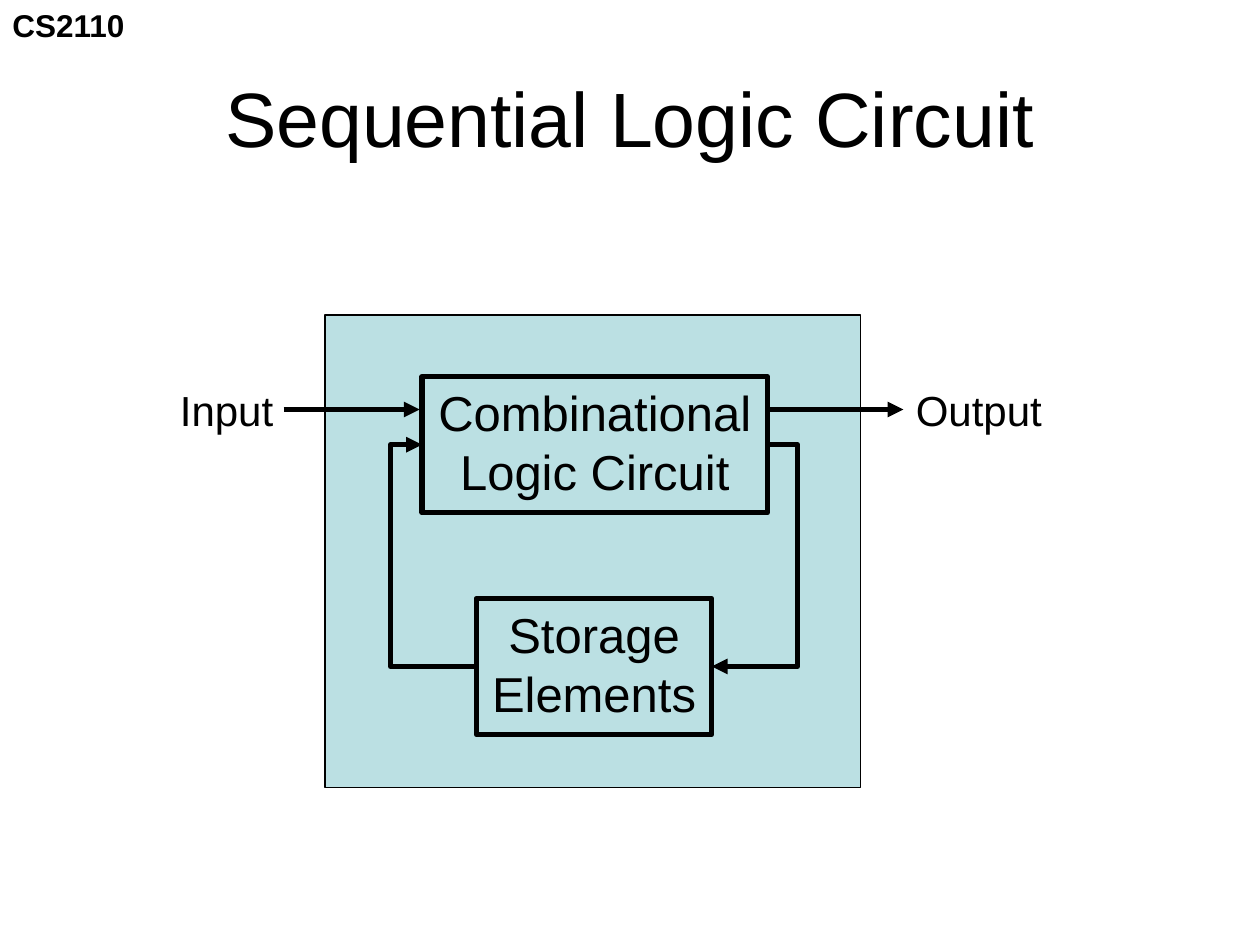
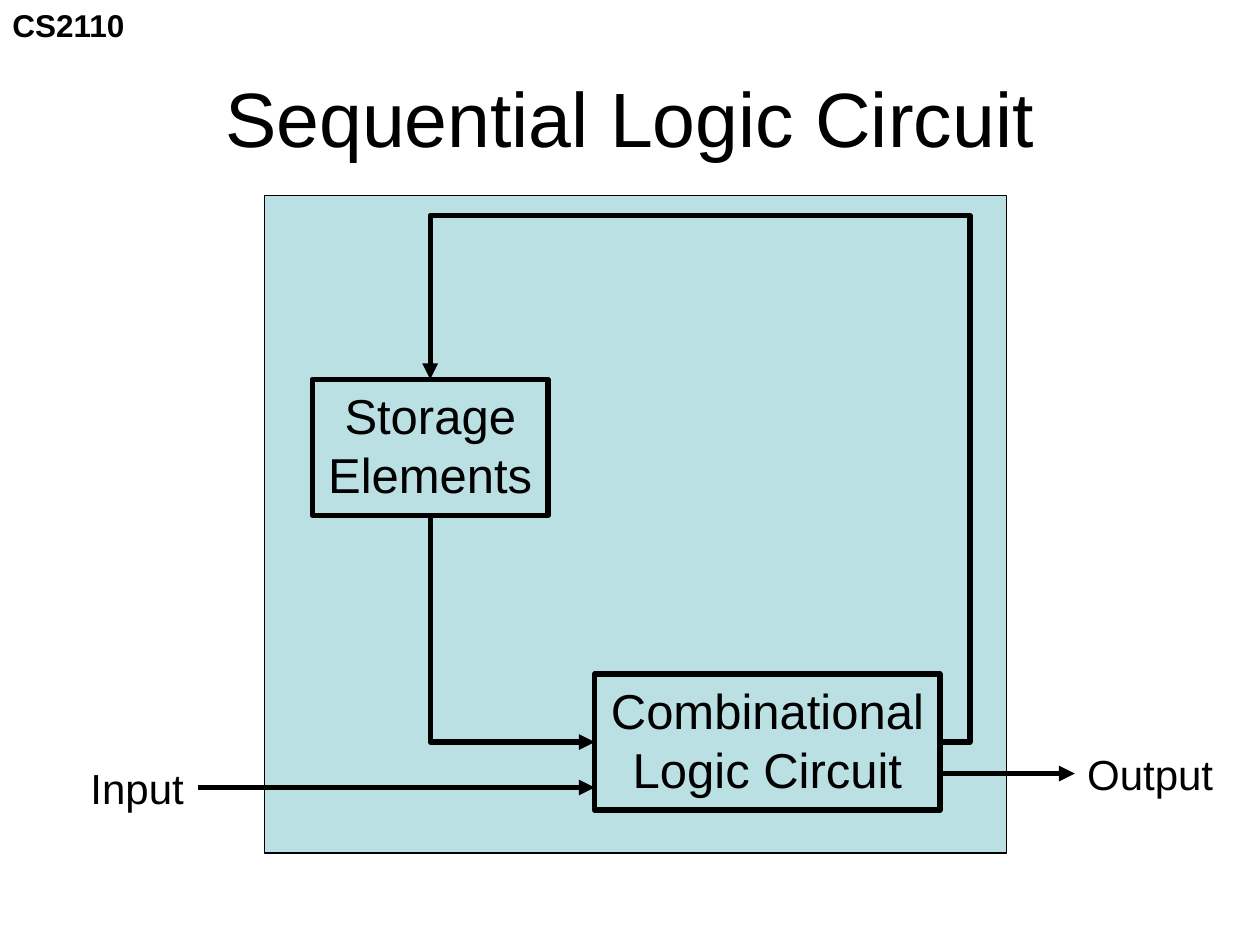
from dataclasses import dataclass

from lxml import etree
from pptx import Presentation
from pptx.dml.color import RGBColor
from pptx.enum import shapes, text
from pptx.oxml import ns
from pptx.util import Inches, Pt

BLACK = RGBColor(0x00, 0x00, 0x00)
PALE_TEAL = RGBColor(0xBB, 0xE0, 0xE3)
FONT = "Arial"
WIRE_WIDTH = 3
TOP, LEFT, BOTTOM, RIGHT = range(4)
COMBINATIONAL = "Combinational\nLogic Circuit"
STORAGE = "Storage\nElements"


@dataclass
class Frame:
    left: float
    top: float
    width: float
    height: float

    def lengths(self):
        return [Inches(n) for n in (self.left, self.top, self.width, self.height)]


@dataclass
class Feedback:
    begin: str
    begin_site: int
    end: str
    end_site: int
    preset: str
    bend_x: float | None = None
    bend_y: float | None = None
    arrow: str = "tailEnd"


@dataclass
class Arrow:
    start: float
    end: float
    y: float


@dataclass
class Circuit:
    panel: Frame
    blocks: dict[str, Frame]
    feedback: list[Feedback]
    arrows: list[Arrow]
    labels: dict[str, Frame]


def write(shape, content: str, size: int, align=text.PP_ALIGN.LEFT,
          bold: bool = False, wrap: bool = False) -> None:
    frame = shape.text_frame
    frame.text = content
    frame.word_wrap = wrap
    if not wrap:
        frame.auto_size = text.MSO_AUTO_SIZE.SHAPE_TO_FIT_TEXT
    for paragraph in frame.paragraphs:
        paragraph.alignment = align
        font = paragraph.font
        font.name, font.size, font.bold = FONT, Pt(size), bold
        font.color.rgb = BLACK


def add_text(slide, frame: Frame, content: str, size: int, **style):
    shape = slide.shapes.add_textbox(*frame.lengths())
    write(shape, content, size, **style)
    return shape


def add_box(slide, frame: Frame, line_width: float, fill: RGBColor | None = None):
    shape = slide.shapes.add_shape(shapes.MSO_SHAPE.RECTANGLE, *frame.lengths())
    shape.shadow.inherit = False
    if fill is None:
        shape.fill.background()
    else:
        shape.fill.solid()
        shape.fill.fore_color.rgb = fill
    shape.line.color.rgb = BLACK
    shape.line.width = Pt(line_width)
    return shape


def style_wire(connector, arrow: str = "tailEnd") -> None:
    connector.line.color.rgb = BLACK
    connector.line.width = Pt(WIRE_WIDTH)
    line = connector.line._get_or_add_ln()
    etree.SubElement(line, ns.qn("a:" + arrow), type="triangle")
    etree.SubElement(connector._element.spPr, ns.qn("a:effectLst"))


def add_arrow(slide, arrow: Arrow) -> None:
    y = Inches(arrow.y)
    style_wire(slide.shapes.add_connector(
        shapes.MSO_CONNECTOR.STRAIGHT, Inches(arrow.start), y, Inches(arrow.end), y))


def add_feedback(slide, wire: Feedback, blocks: dict) -> None:
    connector = slide.shapes.add_connector(shapes.MSO_CONNECTOR.ELBOW, 0, 0, 0, 0)
    connector.begin_connect(blocks[wire.begin], wire.begin_site)
    connector.end_connect(blocks[wire.end], wire.end_site)
    geometry = connector._element.spPr.find(ns.qn("a:prstGeom"))
    geometry.set("prst", wire.preset)
    guides = geometry.find(ns.qn("a:avLst"))
    if guides is None:
        guides = etree.SubElement(geometry, ns.qn("a:avLst"))
    bends = (("adj1", wire.bend_x, connector.begin_x, connector.end_x),
             ("adj2", wire.bend_y, connector.begin_y, connector.end_y))
    for name, bend, begin, end in bends:
        if bend is not None:
            ratio = round((Inches(bend) - begin) / (end - begin) * 100000)
            etree.SubElement(guides, ns.qn("a:gd"), name=name, fmla=f"val {ratio}")
    style_wire(connector, wire.arrow)


def add_circuit_slide(presentation, circuit: Circuit) -> None:
    slide = presentation.slides.add_slide(presentation.slide_layouts[6])
    add_text(slide, Frame(0, 0, 1.1, 0.4), "CS2110", 18, bold=True)
    add_box(slide, circuit.panel, 0.75, PALE_TEAL)
    title = add_text(slide, Frame(0.5, 0.3, 9, 1.25), "Sequential Logic Circuit", 44,
                     align=text.PP_ALIGN.CENTER, wrap=True)
    title.text_frame.vertical_anchor = text.MSO_ANCHOR.MIDDLE
    blocks = {}
    for name, frame in circuit.blocks.items():
        blocks[name] = add_box(slide, frame, WIRE_WIDTH)
        write(blocks[name], name, 28, align=text.PP_ALIGN.CENTER)
        blocks[name].text_frame.vertical_anchor = text.MSO_ANCHOR.TOP
    for wire in circuit.feedback:
        add_feedback(slide, wire, blocks)
    for arrow in circuit.arrows:
        add_arrow(slide, arrow)
    for label, frame in circuit.labels.items():
        add_text(slide, frame, label, 24)


def block_frames(combinational: tuple[float, float],
                 storage: tuple[float, float]) -> dict[str, Frame]:
    return {COMBINATIONAL: Frame(*combinational, 2.74, 1.08),
            STORAGE: Frame(*storage, 1.87, 1.08)}


def label_frames(input_at: tuple[float, float],
                 output_at: tuple[float, float]) -> dict[str, Frame]:
    return {"Input": Frame(*input_at, 0.94, 0.5),
            "Output": Frame(*output_at, 1.2, 0.5)}


CIRCUITS = [
    Circuit(
        panel=Frame(2.58, 2.5, 4.25, 3.75),
        blocks=block_frames((3.35, 2.99), (3.78, 4.75)),
        feedback=[
            Feedback(COMBINATIONAL, RIGHT, STORAGE, RIGHT, "bentConnector3", 6.33),
            Feedback(STORAGE, LEFT, COMBINATIONAL, LEFT, "bentConnector3", 3.1),
        ],
        arrows=[Arrow(6.08, 7.17, 3.25), Arrow(2.25, 3.33, 3.25)],
        labels=label_frames((1.33, 3), (7.17, 3)),
    ),
    Circuit(
        panel=Frame(2.1, 1.55, 5.89, 5.22),
        blocks=block_frames((4.72, 5.35), (2.48, 3.01)),
        feedback=[
            Feedback(COMBINATIONAL, RIGHT, STORAGE, TOP, "bentConnector4", 7.7, 1.71),
            Feedback(COMBINATIONAL, LEFT, STORAGE, BOTTOM, "bentConnector2",
                     arrow="headEnd"),
        ],
        arrows=[Arrow(7.45, 8.53, 6.14), Arrow(1.57, 4.72, 6.25)],
        labels=label_frames((0.62, 6), (8.53, 5.89)),
    ),
]

presentation = Presentation()
presentation.slide_width = Inches(10)
presentation.slide_height = Inches(7.5)
for circuit in CIRCUITS:
    add_circuit_slide(presentation, circuit)
presentation.save("out.pptx")
